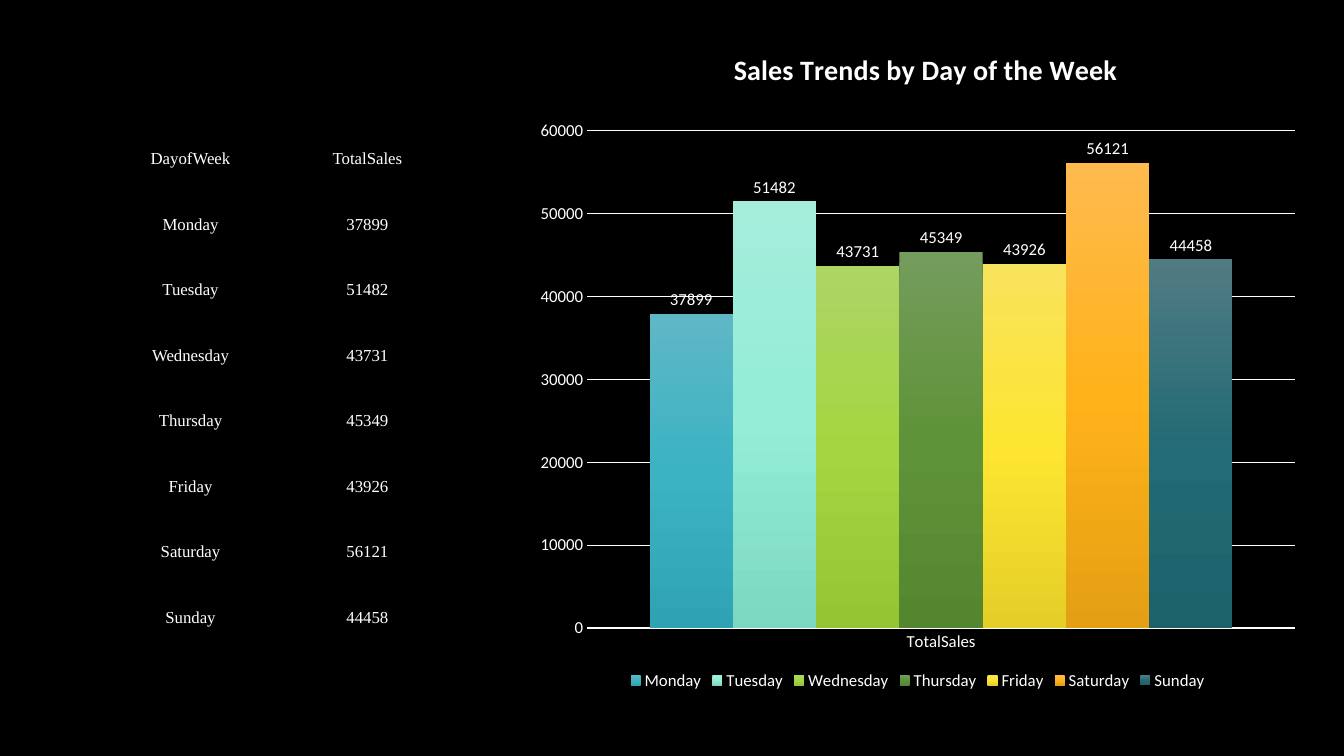
"""Build a slide that shows sales by day of the week as a table and a column chart."""
import copy

import pptx
import pptx.chart.data
import pptx.dml.color
import pptx.enum.chart
import pptx.enum.text
import pptx.oxml.ns
import pptx.util

TITLE = "Sales Trends by Day of the Week"
HEADER = ("DayofWeek", "TotalSales")
SALES = [
    ("Monday", 37899, ("5FB7C5", "3BB3C3", "2FA3B3")),
    ("Tuesday", 51482, ("A4EDDB", "93EDD7", "7DD8C2")),
    ("Wednesday", 43731, ("ACD564", "A4D642", "94C533")),
    ("Thursday", 45349, ("749C5C", "5F9339", "54862F")),
    ("Friday", 43926, ("F8E35C", "FDE531", "E5CE27")),
    ("Saturday", 56121, ("FFBA4F", "FFB219", "E59F14")),
    ("Sunday", 44458, ("517B83", "236B75", "1C626B")),
]
BLACK, WHITE = "000000", "FFFFFF"
SLIDE = (13.33, 7.5)
TABLE_AT = (0.88, 1.02)
COLUMNS, ROW = (2.02, 1.49), 0.65
CHART_AT = (5.2, 0.31, 7.8, 6.58)
PLOT_SHARE = {"x": 0.08, "y": 0.15, "w": 0.9, "h": 0.75}
TITLE_SHARE = {"x": 0.26, "y": 0.02}
NO_STYLE = "{2D5ABB26-0587-4C30-8999-92F81FD0307C}"

inch = pptx.util.Inches
qn = pptx.oxml.ns.qn


def rgb(value):
    return pptx.dml.color.RGBColor.from_string(value)


def style(font, size=12, face="Calibri", color=WHITE, bold=False):
    font.size, font.name, font.bold = pptx.util.Pt(size), face, bold
    font.color.rgb = rgb(color)


def write(tf, text, **look):
    p = tf.paragraphs[0]
    p.alignment = pptx.enum.text.PP_ALIGN.CENTER
    r = p.add_run()
    r.text = text
    style(r.font, **look)


def place(parent, shares, inner=False):
    for old in parent.findall(qn("c:layout")):
        parent.remove(old)
    layout = parent.makeelement(qn("c:layout"), {})
    parent.insert(len(parent.findall(qn("c:tx"))), layout)
    manual = layout.makeelement(qn("c:manualLayout"), {})
    layout.append(manual)
    settings = [("layoutTarget", "inner")] if inner else []
    settings += [("xMode", "edge"), ("yMode", "edge"), *shares.items()]
    for tag, value in settings:
        manual.append(manual.makeelement(qn("c:" + tag), {"val": str(value)}))


def shade(series, colors):
    fill = series.format.fill
    fill.gradient()
    fill.gradient_angle = 270
    stops = next(series._element.iter(qn("a:gsLst")))
    stops.append(copy.deepcopy(stops[-1]))
    for i, (stop, color) in enumerate(zip(fill.gradient_stops, colors)):
        stop.position = i / (len(colors) - 1)
        stop.color.rgb = rgb(color)


def add_sales_table(s):
    rows = [HEADER] + [(day, str(total)) for day, total, _ in SALES]
    size = (sum(COLUMNS), ROW * len(rows))
    frame = s.shapes.add_table(len(rows), len(HEADER), *map(inch, TABLE_AT + size))
    table = frame.table
    table.first_row = table.horz_banding = False
    next(frame._element.iter(qn("a:tableStyleId"))).text = NO_STYLE
    for column, width in zip(table.columns, COLUMNS):
        column.width = inch(width)
    for row, texts in zip(table.rows, rows):
        row.height = inch(ROW)
        for cell, text in zip(row.cells, texts):
            cell.fill.background()
            cell.vertical_anchor = pptx.enum.text.MSO_ANCHOR.BOTTOM
            cell.margin_left = cell.margin_right = cell.margin_top = inch(0.01)
            cell.margin_bottom = 0
            write(cell.text_frame, text, face="Times New Roman")


def add_sales_chart(s):
    enum = pptx.enum.chart
    data = pptx.chart.data.CategoryChartData()
    data.categories = [HEADER[1]]
    for day, total, _ in SALES:
        data.add_series(day, [total])
    kind = enum.XL_CHART_TYPE.COLUMN_CLUSTERED
    chart = s.shapes.add_chart(kind, *map(inch, CHART_AT), data).chart
    style(chart.font, size=10)
    write(chart.chart_title.text_frame, TITLE, size=20, bold=True)
    place(chart.chart_title._element, TITLE_SHARE)
    chart.has_legend = True
    chart.legend.position = enum.XL_LEGEND_POSITION.BOTTOM
    chart.legend.include_in_layout = False
    style(chart.legend.font)

    for axis in (chart.category_axis, chart.value_axis):
        axis.major_tick_mark = axis.minor_tick_mark = enum.XL_TICK_MARK.NONE
        style(axis.tick_labels.font)
    lines = (chart.category_axis.format.line, chart.value_axis.major_gridlines.format.line)
    for line, width in zip(lines, (1, 0.75)):
        line.color.rgb, line.width = rgb(WHITE), pptx.util.Pt(width)
    chart.value_axis.format.line.fill.background()

    plot = chart.plots[0]
    plot.gap_width, plot.overlap, plot.vary_by_categories = 150, 0, False
    place(next(chart._chartSpace.iter(qn("c:plotArea"))), PLOT_SHARE, inner=True)
    for series, (_, _, colors) in zip(plot.series, SALES):
        shade(series, colors)
        labels = series.data_labels
        labels.show_value = True
        labels.position = enum.XL_LABEL_POSITION.OUTSIDE_END
        style(labels.font)


def main():
    prs = pptx.Presentation()
    prs.slide_width, prs.slide_height = map(inch, SLIDE)
    s = prs.slides.add_slide(prs.slide_layouts[6])
    s.background.fill.solid()
    s.background.fill.fore_color.rgb = rgb(BLACK)
    add_sales_chart(s)
    add_sales_table(s)
    prs.save("out.pptx")


if __name__ == "__main__":
    main()
